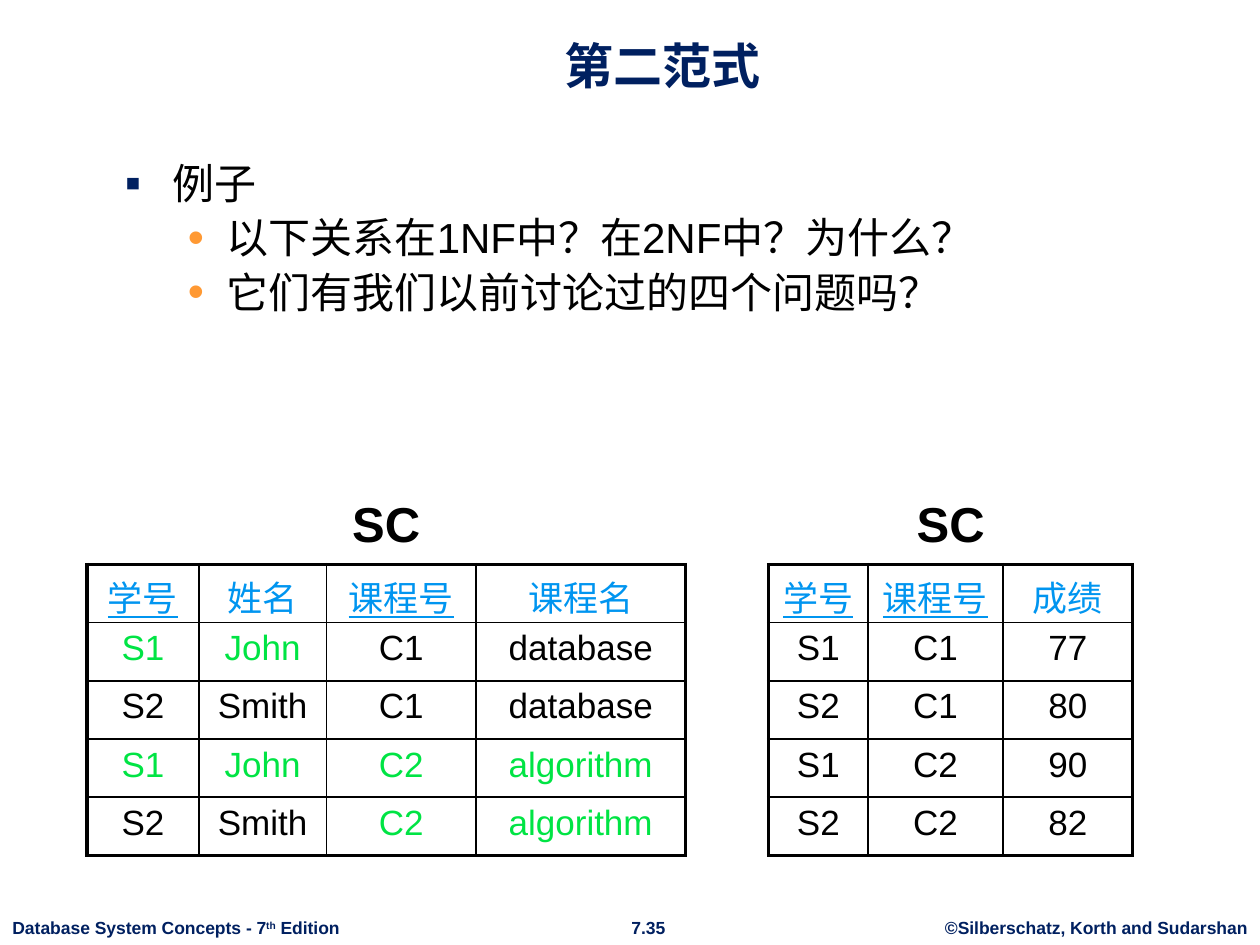
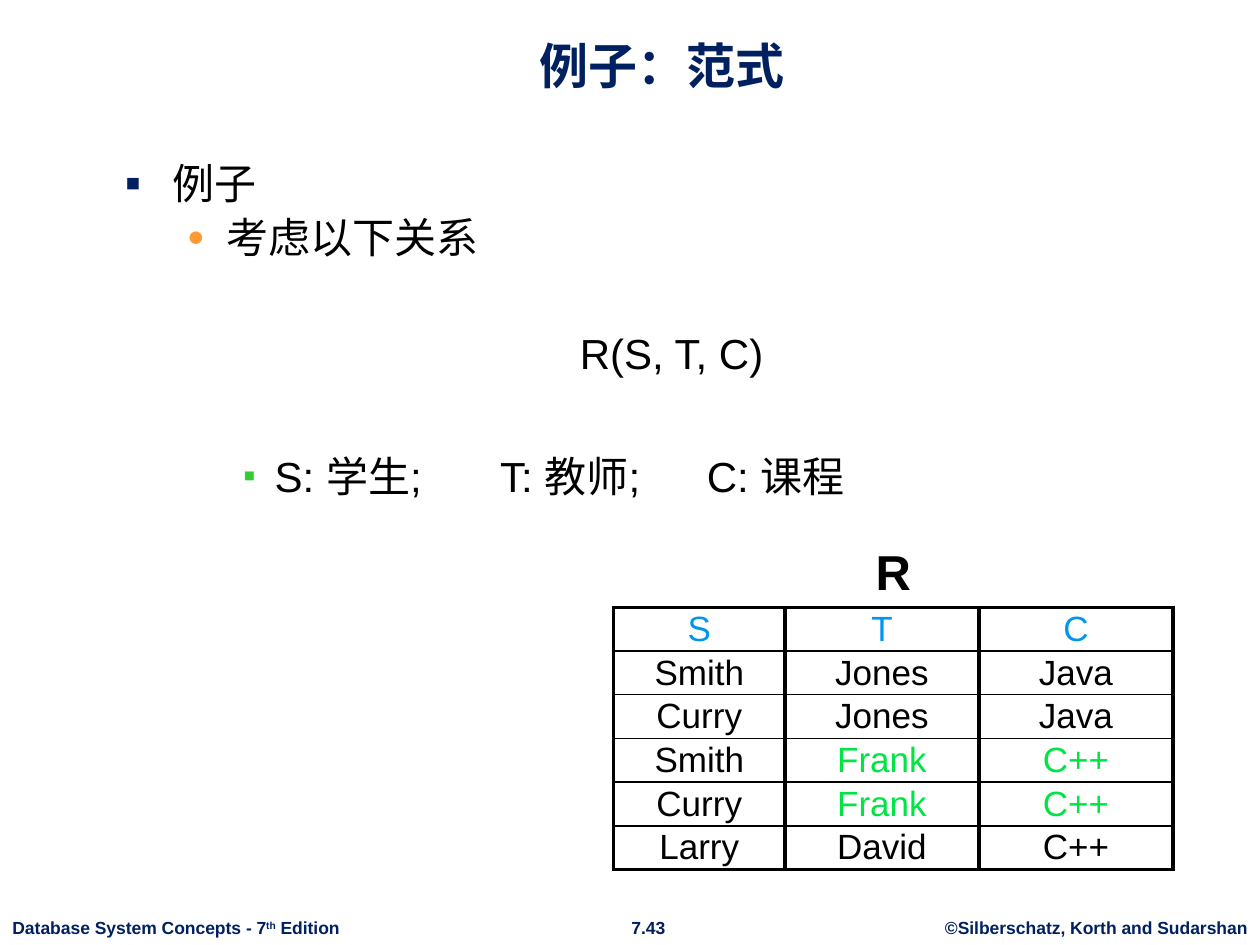
"""Build two slides about database normal forms with example relations."""
from dataclasses import dataclass

from lxml.etree import SubElement
from pptx import Presentation
from pptx.dml.color import RGBColor
from pptx.enum.text import MSO_ANCHOR, MSO_AUTO_SIZE, PP_ALIGN
from pptx.oxml.ns import qn
from pptx.util import Emu, Inches, Pt

SLIDES = [
    {
        "title": "第二范式",
        "number": "7.35",
        "body": [
            ("topic", "例子"),
            ("point", "以下关系在1NF中？在2NF中？为什么？"),
            ("point", "它们有我们以前讨论过的四个问题吗？"),
        ],
        "relations": [
            {
                "name": "SC", "left": 6.9, "top": 44.8, "caption_rise": 6.1,
                "columns": [8.9, 10.1, 11.9, 16.6], "row_height": 4.62,
                "margins": (0.5, 0.5), "header_bottom": 0.5,
                "anchor": MSO_ANCHOR.TOP, "inner_vertical": 1,
                "keys": {"学号", "课程号"},
                "rows": [
                    ("学号", "姓名", "课程号", "课程名"),
                    ("S1", "John", "C1", "database"),
                    ("S2", "Smith", "C1", "database"),
                    ("S1", "John", "C2", "algorithm"),
                    ("S2", "Smith", "C2", "algorithm"),
                ],
                "marked": {1: (0, 1), 3: (0, 1, 2, 3), 4: (2, 3)},
            },
            {
                "name": "SC", "left": 61, "top": 44.8, "caption_rise": 6.1,
                "columns": [7.9, 10.7, 10.3], "row_height": 4.62,
                "margins": (0.5, 0.5), "header_bottom": 0,
                "anchor": MSO_ANCHOR.TOP, "inner_vertical": 1,
                "keys": {"学号", "课程号"},
                "rows": [
                    ("学号", "课程号", "成绩"),
                    ("S1", "C1", "77"),
                    ("S2", "C1", "80"),
                    ("S1", "C2", "90"),
                    ("S2", "C2", "82"),
                ],
                "marked": {},
            },
        ],
    },
    {
        "title": "例子：范式",
        "number": "7.43",
        "body": [
            ("topic", "例子"),
            ("point", "考虑以下关系"),
            ("formula", "R(S, T, C)"),
            ("legend", "S: 学生;\tT: 教师;\tC: 课程"),
        ],
        "relations": [
            {
                "name": "R", "left": 48.7, "top": 48.2, "caption_rise": 5.7,
                "columns": [13.6, 15.4, 15.4], "row_height": 3.47,
                "margins": (0, 0), "header_bottom": 0,
                "anchor": MSO_ANCHOR.MIDDLE, "inner_vertical": 2.25,
                "keys": set(),
                "rows": [
                    ("S", "T", "C"),
                    ("Smith", "Jones", "Java"),
                    ("Curry", "Jones", "Java"),
                    ("Smith", "Frank", "C++"),
                    ("Curry", "Frank", "C++"),
                    ("Larry", "David", "C++"),
                ],
                "marked": {3: (1, 2), 4: (1, 2)},
            },
        ],
    },
]
EDITION = [("Database System Concepts - 7", False), ("th", True), (" Edition", False)]
COPYRIGHT = [("©Silberschatz, Korth and Sudarshan", False)]


@dataclass(frozen=True)
class Theme:
    """Hold the colours, type sizes and line widths of the deck."""

    font: str = "Arial"
    navy: str = "002060"
    black: str = "000000"
    white: str = "FFFFFF"
    orange: str = "FF9933"
    leaf: str = "33CC33"
    header: str = "0095F0"
    marked: str = "00E444"
    heading_size: float = 28
    body_size: float = 24
    cell_size: float = 20
    footer_size: float = 10
    outer_line: float = 2.25
    inner_line: float = 1


THEME = Theme()
SLIDE_WIDTH, SLIDE_HEIGHT = Inches(10), Inches(7.5)
UNIT = SLIDE_WIDTH / 100
TITLE_AREA = (8.4, 1.3, 88.3, 6.7)
BODY_AREA = (8.9, 12, 83.8, 53.6)
FOOTER_TOP, FOOTER_HEIGHT = 72.3, 2.7
CAPTION_WIDTH, CAPTION_HEIGHT = 19.1, 5.7

LIST_STYLES = {
    "topic": {"level": 0, "indent": (3.8, -3.8), "before": 0, "bullet": ("▪", THEME.navy, 110)},
    "point": {"level": 1, "indent": (8.1, -3.1), "before": 2.3, "bullet": ("•", THEME.orange, 110)},
    "formula": {"level": 1, "indent": (8.1, -3.1), "before": 37, "bullet": None,
                "alignment": PP_ALIGN.CENTER},
    "legend": {"level": 2, "indent": (11.9, -2.5), "before": 41.7, "bullet": ("▪", THEME.leaf, 85),
               "tabs": (29.8, 46.2)},
}


def grid(units):
    """Convert grid units to a length."""
    return Emu(round(units * UNIT))


def apply_format(target, **values):
    """Set each named attribute on the target."""
    for name, value in values.items():
        setattr(target, name, value)


def format_font(font, size, color, bold=False, underline=False):
    """Give a font the deck's typeface and the chosen look."""
    apply_format(font, name=THEME.font, size=Pt(size), bold=bold, underline=underline)
    font.color.rgb = RGBColor.from_string(color)


def place(shape, area):
    """Move a shape to an area given in grid units."""
    apply_format(shape, **dict(zip(("left", "top", "width", "height"), map(grid, area))))


def add_label(slide, area, parts, size, color, alignment=PP_ALIGN.CENTER):
    """Add a bold one-line text box whose parts may be superscript."""
    frame = slide.shapes.add_textbox(*map(grid, area)).text_frame
    apply_format(frame, word_wrap=False, auto_size=MSO_AUTO_SIZE.SHAPE_TO_FIT_TEXT)
    paragraph = frame.paragraphs[0]
    paragraph.alignment = alignment
    for text, raised in parts:
        run = paragraph.add_run()
        run.text = text
        format_font(run.font, size, color, bold=True)
        if raised:
            run._r.get_or_add_rPr().set("baseline", "30000")


def add_footer(slide, number):
    """Add the edition, slide number and copyright line."""
    labels = [
        (74, 26, COPYRIGHT, PP_ALIGN.CENTER),
        (49, 4.9, [(number, False)], PP_ALIGN.CENTER),
        (0, 28.1, EDITION, PP_ALIGN.LEFT),
    ]
    for left, width, parts, alignment in labels:
        area = (left, FOOTER_TOP, width, FOOTER_HEIGHT)
        add_label(slide, area, parts, THEME.footer_size, THEME.navy, alignment)


def format_list_item(paragraph, style):
    """Set level, indents, bullet, tab stops and font of a list item."""
    properties = paragraph._p.get_or_add_pPr()
    for name, units in zip(("marL", "indent"), style["indent"]):
        properties.set(name, str(grid(units)))
    if style["bullet"]:
        character, color, percent = style["bullet"]
        SubElement(SubElement(properties, qn("a:buClr")), qn("a:srgbClr"), val=color)
        SubElement(properties, qn("a:buSzPct"), val=str(percent * 1000))
        SubElement(properties, qn("a:buFont"), typeface=THEME.font)
        SubElement(properties, qn("a:buChar"), char=character)
    else:
        SubElement(properties, qn("a:buNone"))
    if "tabs" in style:
        stops = SubElement(properties, qn("a:tabLst"))
        for position in style["tabs"]:
            SubElement(stops, qn("a:tab"), pos=str(grid(position)), algn="l")
    apply_format(paragraph, level=style["level"], space_before=Pt(style["before"]),
                 alignment=style.get("alignment", PP_ALIGN.LEFT))
    format_font(paragraph.font, THEME.body_size, THEME.black)


def fill_placeholders(slide, title, body):
    """Write the title and the bulleted list."""
    heading, content = slide.shapes.title, slide.placeholders[1]
    place(heading, TITLE_AREA)
    place(content, BODY_AREA)
    heading.text_frame.text = title
    apply_format(heading.text_frame, vertical_anchor=MSO_ANCHOR.BOTTOM,
                 auto_size=MSO_AUTO_SIZE.NONE)
    paragraph = heading.text_frame.paragraphs[0]
    paragraph.alignment = PP_ALIGN.CENTER
    format_font(paragraph.font, THEME.heading_size, THEME.navy, bold=True)
    frame = content.text_frame
    frame.auto_size = MSO_AUTO_SIZE.NONE
    for index, (kind, text) in enumerate(body):
        paragraph = frame.add_paragraph() if index else frame.paragraphs[0]
        paragraph.add_run().text = text
        format_list_item(paragraph, LIST_STYLES[kind])


def set_borders(cell, widths):
    """Draw the four black borders of a cell before its fill element."""
    properties = cell._tc.get_or_add_tcPr()
    for index, (side, width) in enumerate(widths.items()):
        line = SubElement(properties, qn(f"a:ln{side}"), w=str(Pt(width)))
        SubElement(SubElement(line, qn("a:solidFill")), qn("a:srgbClr"), val=THEME.black)
        properties.insert(index, line)


def format_cell(cell, relation, row, column):
    """Write one value of a relation with its colours and borders."""
    rows, header = relation["rows"], row == 0
    text = rows[row][column]
    top, bottom = relation["margins"]
    apply_format(cell, text=text, vertical_anchor=relation["anchor"],
                 margin_left=0, margin_right=0, margin_top=grid(top),
                 margin_bottom=grid(relation["header_bottom"] if header else bottom))
    color = THEME.black
    if header:
        color = THEME.header
        cell.fill.solid()
        cell.fill.fore_color.rgb = RGBColor.from_string(THEME.white)
    else:
        cell.fill.background()
        if column in relation["marked"].get(row, ()):
            color = THEME.marked
    paragraph = cell.text_frame.paragraphs[0]
    paragraph.alignment = PP_ALIGN.CENTER
    format_font(paragraph.runs[0].font, THEME.cell_size, color,
                underline=header and text in relation["keys"])
    outer, vertical, horizontal = THEME.outer_line, relation["inner_vertical"], THEME.inner_line
    set_borders(cell, {
        "L": vertical if column else outer,
        "R": vertical if column < len(rows[0]) - 1 else outer,
        "T": horizontal if row else outer,
        "B": horizontal if row < len(rows) - 1 else outer,
    })


def add_relation(slide, relation):
    """Add a relation as a table with its name centred above."""
    rows, columns = relation["rows"], relation["columns"]
    left, top, width = relation["left"], relation["top"], sum(columns)
    area = (left, top, width, relation["row_height"] * len(rows))
    table = slide.shapes.add_table(len(rows), len(columns), *map(grid, area)).table
    apply_format(table, first_row=False, horz_banding=False)
    for column, units in zip(table.columns, columns):
        column.width = grid(units)
    for row, values in enumerate(rows):
        table.rows[row].height = grid(relation["row_height"])
        for column in range(len(values)):
            format_cell(table.cell(row, column), relation, row, column)
    caption = (left + (width - CAPTION_WIDTH) / 2, top - relation["caption_rise"],
               CAPTION_WIDTH, CAPTION_HEIGHT)
    add_label(slide, caption, [(relation["name"], False)], THEME.heading_size, THEME.black)


def main():
    """Build and save the presentation."""
    presentation = Presentation()
    apply_format(presentation, slide_width=SLIDE_WIDTH, slide_height=SLIDE_HEIGHT)
    for content in SLIDES:
        slide = presentation.slides.add_slide(presentation.slide_layouts[1])
        add_footer(slide, content["number"])
        fill_placeholders(slide, content["title"], content["body"])
        for relation in content["relations"]:
            add_relation(slide, relation)
    presentation.save("out.pptx")


if __name__ == "__main__":
    main()
